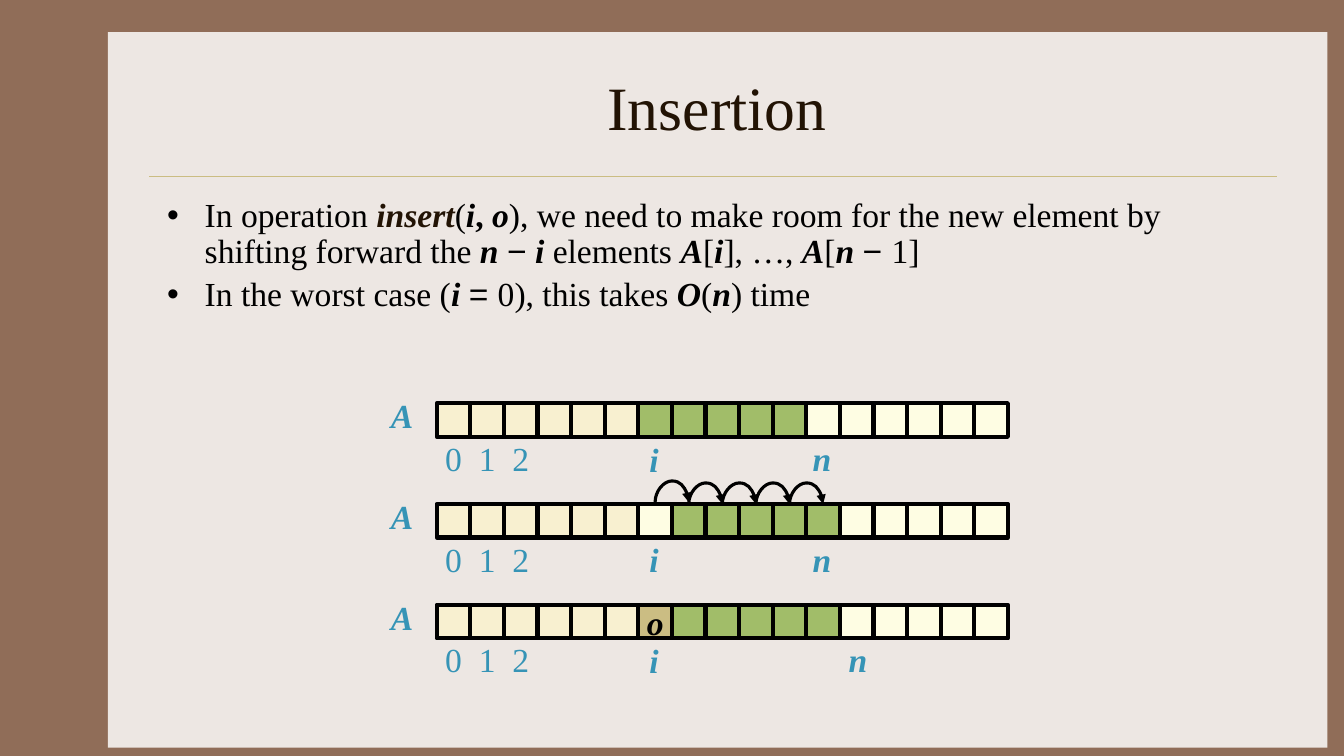
from lxml import etree
from pptx import Presentation
from pptx.dml.color import RGBColor
from pptx.enum.shapes import MSO_CONNECTOR, MSO_SHAPE
from pptx.enum.text import MSO_ANCHOR, PP_ALIGN
from pptx.oxml.ns import qn
from pptx.util import Cm, Pt

CENTER = PP_ALIGN.CENTER
LEFT = PP_ALIGN.LEFT
MIDDLE = MSO_ANCHOR.MIDDLE
TOP = MSO_ANCHOR.TOP
RECTANGLE = MSO_SHAPE.RECTANGLE
STRAIGHT = MSO_CONNECTOR.STRAIGHT
CURVE = MSO_CONNECTOR.CURVE

SERIF = "Times New Roman"
SANS = "Arial"
COLORS = {
    "background": "906D58",
    "panel": "EDE7E3",
    "rule": "CBBD83",
    "title": "221304",
    "text": "000000",
    "label": "3694B6",
    "kept": "F8F0D0",
    "moved": "A1BD69",
    "free": "FEFDE3",
    "inserted": "CBBD83",
}

CELL = Cm(2.54 / 3)
ARRAY_LEFT = 13 * CELL
ROW_TOPS = [12 * CELL, 15 * CELL, 18 * CELL]
INSERT_INDEX = 6
MOVED_COUNT = 5
ROWS = [
    (["kept"] * 6 + ["moved"] * 5 + ["free"] * 6, Cm(0)),
    (["kept"] * 6 + ["free"] + ["moved"] * 5 + ["free"] * 5, Cm(0)),
    (["kept"] * 6 + ["inserted"] + ["moved"] * 5 + ["free"] * 5, Cm(0.91)),
]

# Run styles: b bold, i italic, s sans-serif, t title colour
BULLETS = [
    [("In operation ", ""), ("insert", "bit"), ("(", ""), ("i", "bi"), (",", "b"), (" o", "bi"),
     ("), we need to make room for the new element by shifting forward the ", ""),
     ("n ", "bi"), ("−", "s"), (" i", "bi"), (" elements ", ""), ("A", "bi"), ("[", ""),
     ("i", "bi"), ("], …, ", ""), ("A", "bi"), ("[", ""), ("n ", "bi"), ("− ", "s"), ("1]", "")],
    [("In the worst case (", ""), ("i ", "bi"), ("= ", "s"), ("0), this takes ", ""),
     ("O", "bi"), ("(", ""), ("n", "bi"), (") time", "")],
]


def rgb(name):
    return RGBColor.from_string(COLORS[name])


def format_run(run, color, size=24, style=""):
    font = run.font
    font.name = SANS if "s" in style else SERIF
    font.size = Pt(size)
    font.bold = "b" in style
    font.italic = "i" in style
    font.color.rgb = rgb(color)


def add_text_box(slide, left, top, width, height, anchor=TOP, inset=True):
    frame = slide.shapes.add_textbox(left, top, width, height).text_frame
    frame.word_wrap = True
    frame.vertical_anchor = anchor
    if not inset:
        frame.margin_left = frame.margin_right = frame.margin_top = frame.margin_bottom = 0
    return frame


def write_line(frame, text, color, size=24, style="", alignment=CENTER):
    frame.text = text
    paragraph = frame.paragraphs[0]
    paragraph.alignment = alignment
    format_run(paragraph.runs[0], color, size, style)


def add_rectangle(slide, left, top, width, height, fill):
    shape = slide.shapes.add_shape(RECTANGLE, left, top, width, height)
    shape.shadow.inherit = False
    shape.fill.solid()
    shape.fill.fore_color.rgb = rgb(fill)
    shape.line.fill.background()
    return shape


def add_line(slide, kind, start, end, color, width):
    connector = slide.shapes.add_connector(kind, *start, *end)
    connector.line.color.rgb = rgb(color)
    connector.line.width = Pt(width)
    etree.SubElement(connector._element.spPr, qn("a:effectLst"))
    return connector


def add_bullets(slide):
    frame = add_text_box(slide, Cm(3.96), Cm(4.88), Cm(28.22), Cm(11.43))
    for index, parts in enumerate(BULLETS):
        paragraph = frame.add_paragraph() if index else frame.paragraphs[0]
        properties = paragraph._p.get_or_add_pPr()
        properties.set("marL", str(Cm(0.95)))
        properties.set("indent", str(-Cm(0.95)))
        etree.SubElement(properties, qn("a:buFont")).set("typeface", SANS)
        etree.SubElement(properties, qn("a:buChar")).set("char", "•")
        paragraph.alignment = LEFT
        paragraph.line_spacing = 0.9
        if index:
            paragraph.space_before = Pt(4.8)
        for text, style in parts:
            run = paragraph.add_run()
            run.text = text
            format_run(run, "title" if "t" in style else "text", style=style)


def add_label(slide, text, left, top, width=Cm(0.79), style="bi"):
    frame = add_text_box(slide, left, top, width, Cm(1.02), inset=False)
    write_line(frame, text, "label", style=style)


def add_array(slide, top, kinds, n_shift):
    add_label(slide, "A", Cm(9.74), top - Cm(0.2))
    for index, kind in enumerate(kinds):
        cell = add_rectangle(slide, ARRAY_LEFT + index * CELL, top, CELL, CELL, kind)
        cell.line.color.rgb = rgb("text")
        cell.line.width = Pt(3)
        if kind == "inserted":
            cell.text_frame.word_wrap = False
            cell.text_frame.vertical_anchor = MIDDLE
            write_line(cell.text_frame, "o", "text", style="bi")
    for index in range(3):
        add_label(slide, str(index), ARRAY_LEFT + index * CELL + Cm(0.21),
                  top + Cm(0.87), Cm(0.43), "")
    n_index = INSERT_INDEX + MOVED_COUNT
    add_label(slide, "i", ARRAY_LEFT + INSERT_INDEX * CELL, top + Cm(0.89))
    add_label(slide, "n", ARRAY_LEFT + n_index * CELL + n_shift, top + Cm(0.87))


def add_shift_arrow(slide, left, top):
    """Draw an arc from one cell's top to the next: a turned, flipped S-curve."""
    thickness = 1588
    center = left + CELL // 2
    start = center - thickness // 2, top - CELL // 2
    connector = add_line(slide, CURVE, start, (start[0] + thickness, start[1] + CELL), "text", 2.25)
    properties = connector._element.spPr
    transform = properties.find(qn("a:xfrm"))
    transform.set("rot", "5400000")
    transform.set("flipV", "1")
    guide = etree.SubElement(properties.find(qn("a:prstGeom")).find(qn("a:avLst")), qn("a:gd"))
    guide.set("name", "adj1")
    guide.set("fmla", "val -13200000")
    etree.SubElement(properties.find(qn("a:ln")), qn("a:tailEnd")).set("type", "triangle")


def main():
    presentation = Presentation()
    presentation.slide_width = Cm(33.87)
    presentation.slide_height = Cm(19.05)
    slide = presentation.slides.add_slide(presentation.slide_layouts[6])
    slide.background.fill.solid()
    slide.background.fill.fore_color.rgb = rgb("background")

    add_rectangle(slide, Cm(2.72), Cm(0.81), Cm(30.73), Cm(18.03), "panel")
    add_line(slide, STRAIGHT, (Cm(3.76), Cm(4.45)), (Cm(32.18), Cm(4.45)), "rule", 0.25)
    title = add_text_box(slide, Cm(3.96), Cm(1.07), Cm(28.22), Cm(3.18), MIDDLE)
    write_line(title, "Insertion", "title", 44)
    add_bullets(slide)

    for top, (kinds, n_shift) in zip(ROW_TOPS, ROWS):
        add_array(slide, top, kinds, n_shift)
    for step in range(MOVED_COUNT):
        left = ARRAY_LEFT + (INSERT_INDEX + step) * CELL + CELL // 2
        lift = Cm(0) if step else Cm(0.05)
        add_shift_arrow(slide, left, ROW_TOPS[1] - lift)

    presentation.save("out.pptx")


if __name__ == "__main__":
    main()
